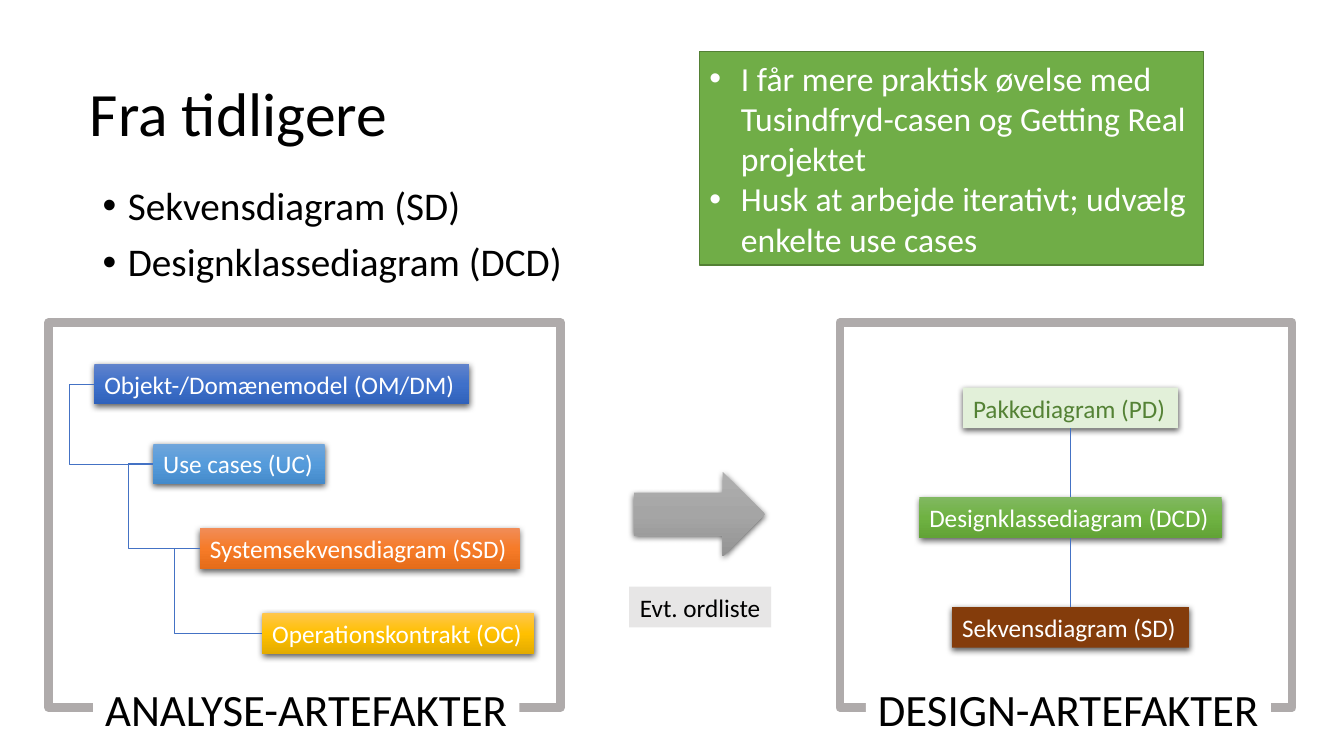
from copy import deepcopy
from pptx import Presentation
from pptx.dml.color import RGBColor
from pptx.enum.shapes import MSO_CONNECTOR, MSO_SHAPE
from pptx.enum.text import MSO_ANCHOR, PP_ALIGN
from pptx.oxml import parse_xml
from pptx.oxml.ns import nsdecls, qn
from pptx.util import Pt

HUES = {
    "black": "000000", "white": "FFFFFF", "frame": "AFABAB", "link": "4472C4",
    "green": "70AD47", "edge": "538035", "pale": "E2F0D9", "moss": "548235",
    "brown": "843C0B", "light": "E7E6E6",
}
FADES = {
    "grey": ("AFAFAF", "A5A5A5", "939393"),
    "navy": ("6183CB", "3E70CA", "3062BB"),
    "sky": ("71A6DB", "559BDB", "448ACA"),
    "orange": ("F18C57", "F67B28", "E56C19"),
    "gold": ("FFC64B", "FFC000", "E3AB00"),
    "leaf": ("81B861", "6FB242", "62A336"),
}
ROW = 29.1  # height of a label


def rgb(name):
    return RGBColor.from_string(HUES[name])


def style(para, size, hue, align=PP_ALIGN.LEFT):
    para.alignment = align
    for run in para.runs:
        run.font.size = Pt(size)
        run.font.name = "Calibri"
        run.font.color.rgb = rgb(hue)


def bullet(para, indent):
    props = para._p.get_or_add_pPr()
    props.set("marL", str(Pt(indent)))
    props.set("indent", str(-Pt(indent)))
    props.append(parse_xml(f'<a:buFont {nsdecls("a")} typeface="Arial"/>'))
    props.append(parse_xml(f'<a:buChar {nsdecls("a")} char="•"/>'))


def paint(shape, fill):
    if fill in FADES:
        shape.fill.gradient()
        stops = shape._element.spPr.find(".//" + qn("a:gsLst"))
        stops.append(deepcopy(stops[0]))
        shape.fill.gradient_angle = 270
        for i, (stop, hue) in enumerate(zip(shape.fill.gradient_stops, FADES[fill])):
            stop.position = i / 2
            stop.color.rgb = RGBColor.from_string(hue)
    elif fill:
        shape.fill.solid()
        shape.fill.fore_color.rgb = rgb(fill)
    else:
        shape.fill.background()


def block(slide, box, fill, kind=MSO_SHAPE.RECTANGLE, line=None, width=1, shade=False):
    shape = slide.shapes.add_shape(kind, *map(Pt, box))
    paint(shape, fill)
    if line:
        shape.line.color.rgb = rgb(line)
        shape.line.width = Pt(width)
    else:
        shape.line.fill.background()
    shape.shadow.inherit = False
    if shade:
        shape._element.spPr.find(qn("a:effectLst")).append(parse_xml(
            f'<a:outerShdw {nsdecls("a")} blurRad="{Pt(4.5)}" dist="{Pt(1.5)}" '
            'dir="5400000" algn="ctr" rotWithShape="0"><a:srgbClr val="000000">'
            '<a:alpha val="63000"/></a:srgbClr></a:outerShdw>'))
    return shape


def label(slide, box, text, fill, hue="white", size=18, align=PP_ALIGN.LEFT, shade=True):
    shape = block(slide, box, fill, shade=shade)
    shape.text_frame.word_wrap = False
    shape.text_frame.text = text
    style(shape.text_frame.paragraphs[0], size, hue, align)


def link(slide, start, end, out=None):
    """Join two points; out is how far an elbow reaches left of the start."""
    kind = MSO_CONNECTOR.ELBOW if out else MSO_CONNECTOR.STRAIGHT
    line = slide.shapes.add_connector(kind, *map(Pt, (*start, *end)))
    line.line.color.rgb = rgb("link")
    line.line.width = Pt(0.5)
    props = line._element.spPr
    props.append(parse_xml(f'<a:effectLst {nsdecls("a")}/>'))
    if out:
        bend = round(-out / (end[0] - start[0]) * 100000)
        geom = props.find(qn("a:prstGeom"))
        for old in list(geom):
            geom.remove(old)
        geom.append(parse_xml(
            f'<a:avLst {nsdecls("a")}><a:gd name="adj1" fmla="val {bend}"/></a:avLst>'))


def place(shape, box):
    shape.left, shape.top, shape.width, shape.height = map(Pt, box)


def heading(slide, box):
    title = slide.shapes.title
    place(title, box)
    frame = title.text_frame
    frame.text = "Fra tidligere"
    frame.vertical_anchor = MSO_ANCHOR.MIDDLE
    frame.paragraphs[0].line_spacing = 0.9
    style(frame.paragraphs[0], 44, "black")


def topics(slide, box):
    body = slide.placeholders[1]
    place(body, box)
    frame = body.text_frame
    frame.text = "Sekvensdiagram (SD)\nDesignklassediagram (DCD)"
    for i, para in enumerate(frame.paragraphs):
        bullet(para, 18)
        para.line_spacing = 0.9
        para.space_before = Pt(10 if i else 0)
        style(para, 28, "black")


def advice(slide, box):
    frame = block(slide, box, "green", line="edge").text_frame
    frame.word_wrap = True
    frame.text = ("I får mere praktisk øvelse med Tusindfryd-casen og Getting Real projektet\n"
                  "Husk at arbejde iterativt; udvælg enkelte use cases")
    for para in frame.paragraphs:
        bullet(para, 22.5)
        style(para, 24, "white")


def panel(slide, box, text, left, width):
    """Frame with a caption that breaks its lower edge."""
    x, y, w, h = box
    block(slide, box, None, line="frame", width=6)
    label(slide, (x + left, y + h - 22.3, width, 46), text, "white", "black", 32,
          PP_ALIGN.CENTER, False)


def analysis(slide, box):
    x, y = box[:2]
    panel(slide, box, "ANALYSE-ARTEFAKTER", 32, 304.5)
    steps = [  # left, top, width, text, fill
        (32.8, 29.4, 268, "Objekt-/Domænemodel (OM/DM)", "navy"),
        (74.9, 86.4, 122.5, "Use cases (UC)", "sky"),
        (108.3, 147, 228.3, "Systemsekvensdiagram (SSD)", "orange"),
        (152.8, 207.6, 194.4, "Operationskontrakt (OC)", "gold"),
    ]
    for left, top, width, text, fill in steps:
        label(slide, (x + left, y + top, width, ROW), text, fill)
    ends = [(x + step[0], y + step[1] + ROW / 2) for step in steps]
    for start, end in zip(ends, ends[1:]):
        link(slide, start, end, out=18)


def design(slide, box):
    x, y = box[:2]
    panel(slide, box, "DESIGN-ARTEFAKTER", 18.7, 289.4)
    mid, first, step = x + 164.9, y + 46.4, 78.4
    parts = [  # width, text, fill, text colour
        (153.5, "Pakkediagram (PD)", "pale", "moss"),
        (216, "Designklassediagram (DCD)", "leaf", "white"),
        (169.2, "Sekvensdiagram (SD)", "brown", "white"),
    ]
    for i, (width, text, fill, hue) in enumerate(parts):
        top = first + i * step
        label(slide, (mid - width / 2, top, width, ROW), text, fill, hue)
        if i:
            link(slide, (mid, top - step + ROW), (mid, top))


def middle(slide, box):
    x, y, w, h = box
    block(slide, (x + 3.6, y, 93.6, 60.5), "grey", MSO_SHAPE.RIGHT_ARROW, shade=True)
    label(slide, (x, y + h - ROW, w, ROW), "Evt. ordliste", "light", "black",
          align=PP_ALIGN.CENTER, shade=False)


def main():
    deck = Presentation()
    deck.slide_width, deck.slide_height = Pt(960), Pt(540)
    slide = deck.slides.add_slide(deck.slide_layouts[1])
    heading(slide, (57, 31, 828, 104.4))
    topics(slide, (66.2, 129.6, 355, 92.9))
    analysis(slide, (34.6, 230.4, 365.8, 275))
    middle(slide, (449.3, 337, 101.5, 111.1))
    design(slide, (599.8, 230.4, 323.3, 275))
    advice(slide, (499.7, 36.7, 360, 152.6))
    deck.save("out.pptx")


if __name__ == "__main__":
    main()
